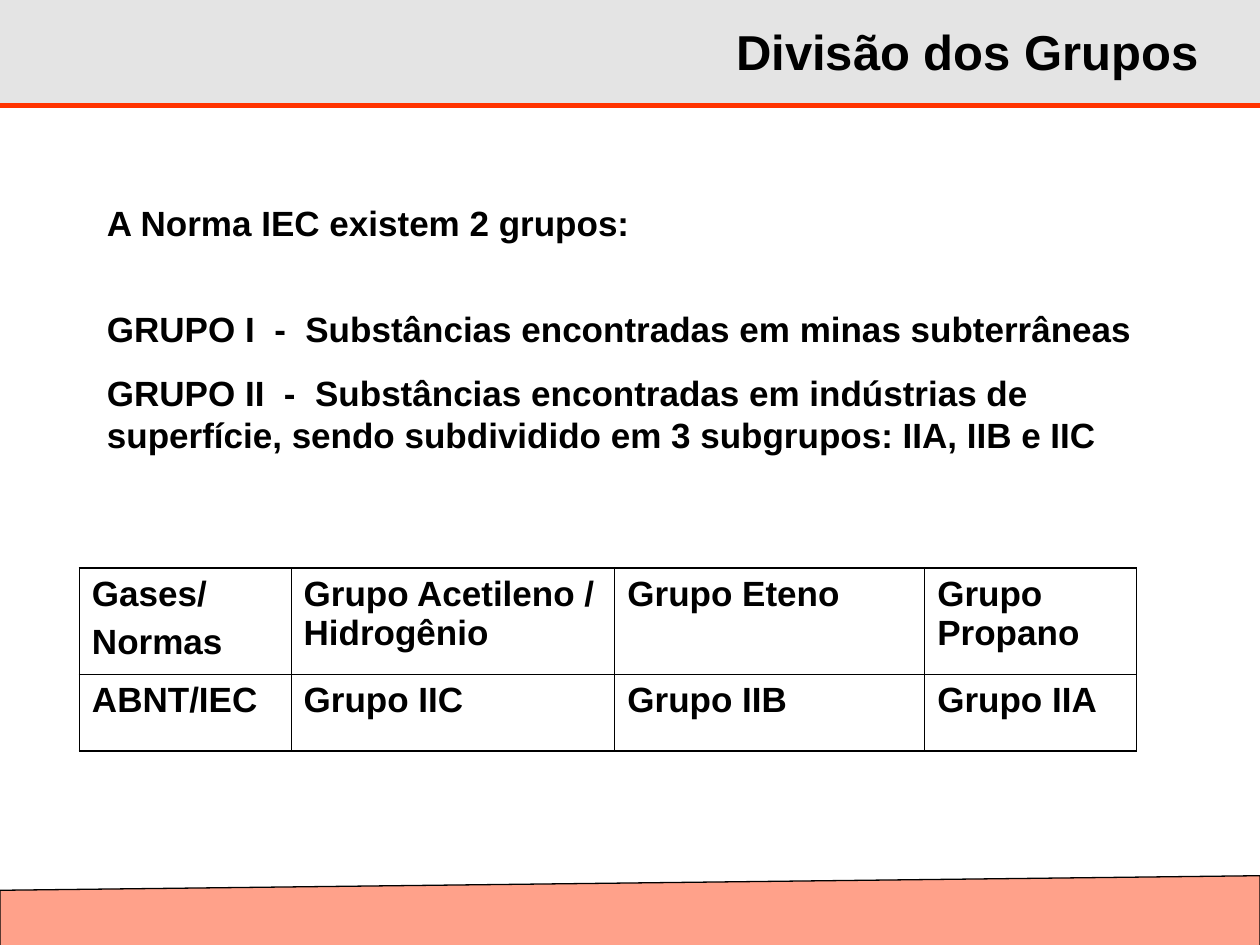
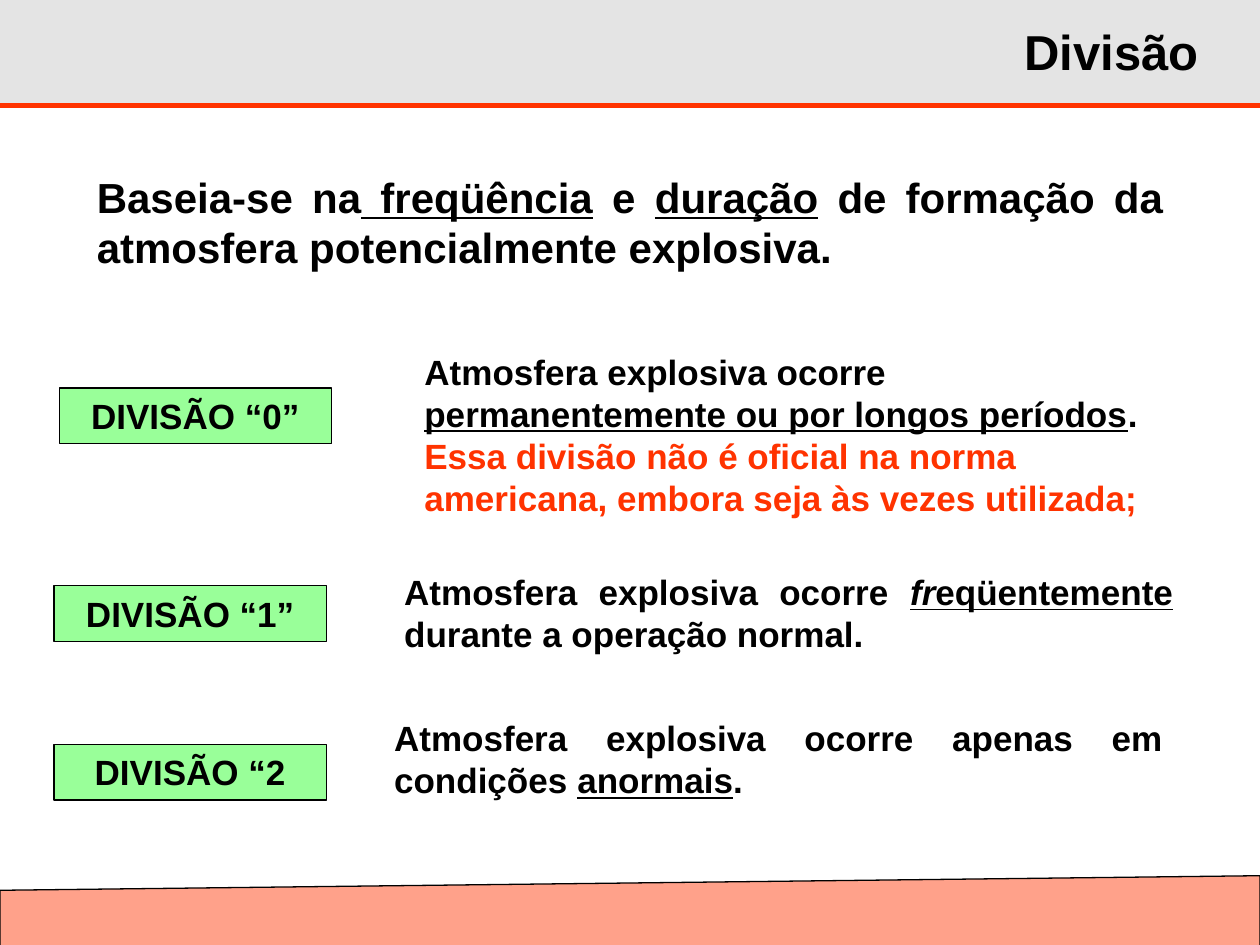
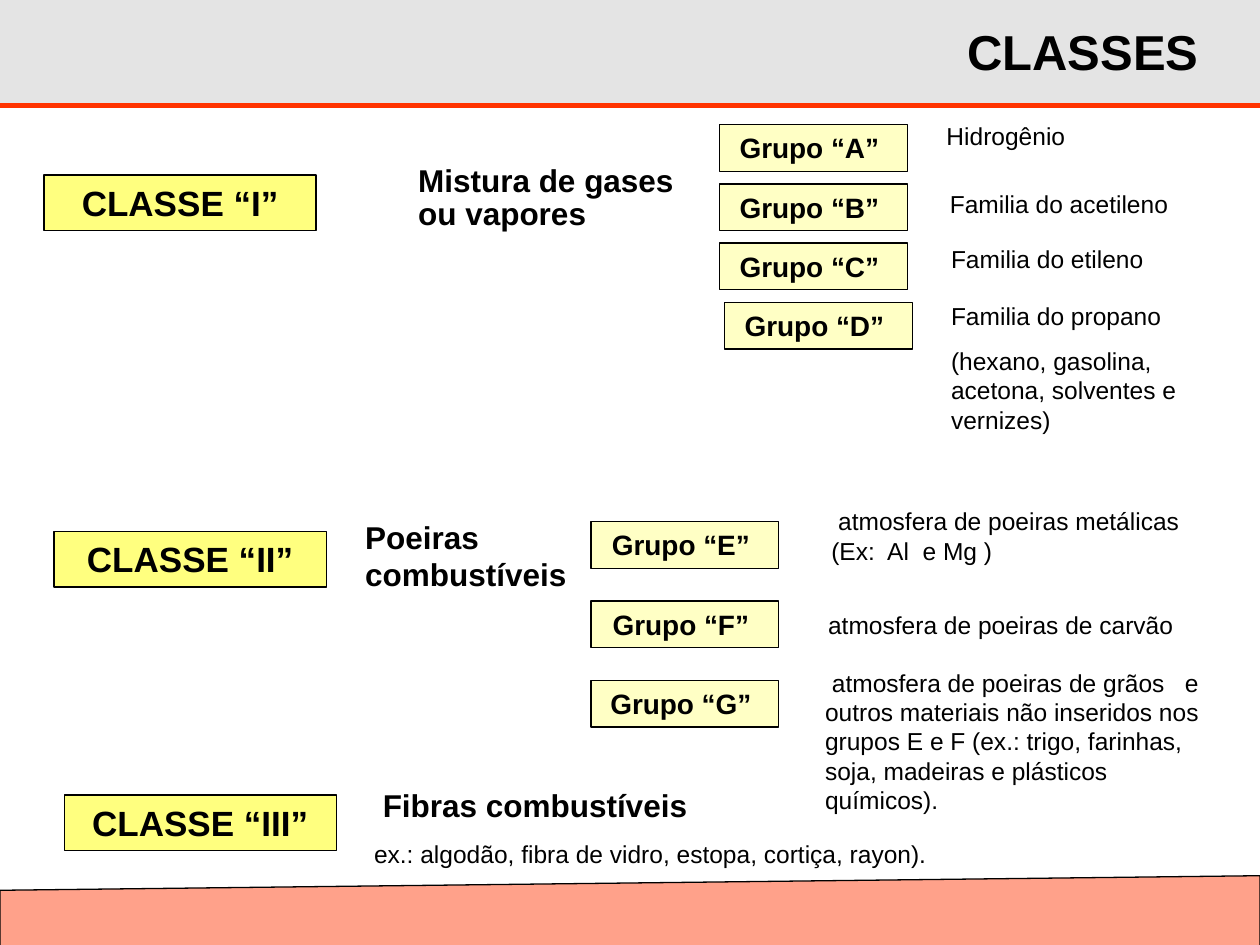
from lxml import etree
from pptx import Presentation
from pptx.dml.color import RGBColor
from pptx.enum import shapes, text
from pptx.oxml import ns
from pptx.util import Inches, Pt

FONT = "Arial"
BLACK, WHITE, RED, GRAY = "000000", "FFFFFF", "FF3300", "C0C0C0"
GREEN, YELLOW, CREAM = "00FF00", "FFFF00", "FFFF99"
LEFT, RIGHT = text.PP_ALIGN.LEFT, text.PP_ALIGN.RIGHT
MID, JUST = text.PP_ALIGN.CENTER, text.PP_ALIGN.JUSTIFY
RECT = shapes.MSO_SHAPE.RECTANGLE
SLANT = shapes.MSO_SHAPE.FLOWCHART_MANUAL_INPUT


def paint(color, value):
    color.rgb = RGBColor.from_string(value)


def write(frame, paras, size=20, bold=True, align=LEFT, gap=0.0):
    """Fill a frame; a paragraph is a string or a list of (text, marks).

    Marks: u underline, i italic, r red.
    """
    frame.word_wrap = True
    for n, para in enumerate(paras):
        line = frame.add_paragraph() if n else frame.paragraphs[0]
        line.alignment = align
        if n:
            line.space_before = Pt(gap)
        for words, marks in [(para, "")] if isinstance(para, str) else para:
            run = line.add_run()
            run.text = words
            font = run.font
            font.name, font.size, font.bold = FONT, Pt(size), bold
            font.underline = "u" in marks
            font.italic = "i" in marks
            paint(font.color, RED if "r" in marks else BLACK)
    return frame


def note(slide, x, y, w, h, *paras, **style):
    box = slide.shapes.add_textbox(Inches(x), Inches(y), Inches(w), Inches(h))
    return write(box.text_frame, paras, **style)


def block(slide, x, y, w, h, fill, alpha, edge=BLACK, weight=0.75, kind=RECT):
    """Add a shape whose fill is alpha percent opaque."""
    shape = slide.shapes.add_shape(kind, Inches(x), Inches(y), Inches(w), Inches(h))
    shape.shadow.inherit = False
    shape.fill.solid()
    paint(shape.fill.fore_color, fill)
    tint = shape.fill._xPr.find(".//" + ns.qn("a:srgbClr"))
    etree.SubElement(tint, ns.qn("a:alpha"), val=str(alpha * 1000))
    if edge:
        shape.line.width = Pt(weight)
        paint(shape.line.color, edge)
    else:
        shape.line.fill.background()
    shape.text_frame.vertical_anchor = text.MSO_ANCHOR.TOP
    return shape


def label(slide, x, y, words, fill):
    tag = block(slide, x, y, 2.16, 0.44, fill, 40 if fill == GREEN else 50)
    write(tag.text_frame, [words], align=MID)


def group(slide, x, y, name):
    tag = block(slide, x, y, 1.49, 0.37, CREAM, 57)
    write(tag.text_frame, [f"Grupo “{name}” "], size=16, align=MID)


def rule(slide, y):
    line = slide.shapes.add_connector(
        shapes.MSO_CONNECTOR.STRAIGHT, 0, Inches(y), Inches(10), Inches(y))
    line.line.width = Pt(3)
    paint(line.line.color, RED)
    etree.SubElement(line._element.spPr, ns.qn("a:effectLst"))


def start(deck, title):
    """Add a slide with the shared bands and its title."""
    slide = deck.slides.add_slide(deck.slide_layouts[6])
    block(slide, 0, 0, 10, 0.84, GRAY, 42, edge=None)
    rule(slide, 0.84)
    block(slide, 0, 6.95, 10, 0.58, RED, 46, kind=SLANT)
    head = note(slide, 1.14, 0.13, 8.47, 0.55, title, size=28, align=RIGHT)
    head.vertical_anchor = text.MSO_ANCHOR.MIDDLE
    return slide


def border(cell, widths):
    """Draw the left, right, top and bottom edges, in points."""
    props = cell._tc.get_or_add_tcPr()
    for n, (side, width) in enumerate(zip("LRTB", widths)):
        edge = etree.Element(ns.qn("a:ln" + side), w=str(Pt(width)))
        fill = etree.SubElement(edge, ns.qn("a:solidFill"))
        etree.SubElement(fill, ns.qn("a:srgbClr"), val=BLACK)
        props.insert(n, edge)


def grid(slide, x, y, cols, rows, cells):
    table = slide.shapes.add_table(
        len(rows), len(cols), Inches(x), Inches(y),
        Inches(sum(cols)), Inches(sum(rows))).table
    table.first_row = table.horz_banding = False
    for col, width in zip(table.columns, cols):
        col.width = Inches(width)
    for row, height in zip(table.rows, rows):
        row.height = Inches(height)
    for r, line in enumerate(cells):
        for c, paras in enumerate(line):
            cell = table.cell(r, c)
            write(cell.text_frame, paras, gap=5)
            cell.fill.background()
            outer = (c == 0, c == len(cols) - 1, r == 0, r == len(rows) - 1)
            border(cell, [1.08 if side else 0.45 for side in outer])


def groups(deck):
    slide = start(deck, "Divisão dos Grupos")
    grid(slide, 0.63, 4.51, [1.68, 2.57, 2.46, 1.68], [0.84, 0.61], [
        [["Gases/", "Normas"], ["Grupo Acetileno / Hidrogênio"],
         ["Grupo Eteno"], ["Grupo Propano"]],
        [["ABNT/IEC"], ["Grupo IIC"], ["Grupo IIB"], ["Grupo IIA"]],
    ])
    body = note(
        slide, 0.75, 1.55, 8.58, 2.45,
        "A Norma IEC existem 2 grupos:",
        "GRUPO I  -  Substâncias encontradas em minas subterrâneas",
        "GRUPO II  -  Substâncias encontradas em indústrias de superfície, "
        "sendo subdividido em 3 subgrupos: IIA, IIB e IIC", gap=12.5)
    body.paragraphs[1].space_before = Pt(36.5)


def divisions(deck):
    slide = start(deck, "Divisão")
    intro = block(slide, 0.67, 1.31, 8.66, 0.9, WHITE, 52, edge=WHITE, weight=3)
    write(intro.text_frame, [[
        ("Baseia-se na", ""), (" freqüência", "u"), (" e ", ""), ("duração", "u"),
        (" de formação da atmosfera potencialmente explosiva.", "")]],
        size=24, align=JUST)
    for x, y, words in [(0.47, 3.08, "DIVISÃO “0”"), (0.43, 4.65, "DIVISÃO “1”"),
                        (0.43, 5.91, "DIVISÃO “2")]:
        label(slide, x, y, words, GREEN)
    note(slide, 3.27, 2.73, 6.3, 1.44,
         [("Atmosfera explosiva ocorre ", ""),
          ("permanentemente ou por longos períodos", "u"), (".", "")],
         [("Essa divisão não é oficial na norma americana, "
           "embora seja às vezes utilizada;", "r")])
    note(slide, 3.11, 4.48, 6.3, 0.77,
         [("Atmosfera explosiva ocorre ", ""), ("fr", "ui"), ("eqüentemente", "u"),
          (" durante a operação normal.", "")], align=JUST)
    note(slide, 3.03, 5.64, 6.3, 0.77,
         [("Atmosfera explosiva ocorre apenas em condições ", ""),
          ("anormais", "u"), (".", "")], align=JUST)


def classes(deck):
    slide = start(deck, "CLASSES")
    for x, y, name in [(0.35, 1.39, "I"), (0.43, 4.22, "II"), (0.51, 6.31, "III")]:
        label(slide, x, y, f"CLASSE “{name}”", YELLOW)

    gases = note(slide, 3.22, 1.23, 2.25, 0.62, "Mistura de gases", "ou vapores",
                 size=18, align=JUST)
    gases.paragraphs[1].line_spacing = 0.87
    note(slide, 2.8, 4.06, 2.03, 0.7, "Poeiras combustíveis", size=18, align=JUST)
    fibres = note(slide, 2.87, 6.19, 5.99, 0.76, " Fibras combustíveis",
                  "ex.: algodão, fibra de vidro, estopa, cortiça, rayon).",
                  size=18, align=JUST, gap=8.8)
    sample = fibres.paragraphs[1].runs[0].font
    sample.size, sample.bold = Pt(14), False

    for n, name in enumerate("ABCD"):
        group(slide, 5.75 if name == "D" else 5.71, 0.99 + 0.47 * n, name)
    for n, name in enumerate("EFG"):
        group(slide, 4.69, 4.14 + 0.63 * n, name)

    for x, y, w, h, *paras in [
        (7.36, 0.91, 2.2, 0.34, " Hidrogênio"),
        (7.44, 1.45, 2.2, 0.34, "Familia do acetileno"),
        (7.45, 1.89, 2.2, 0.34, "Familia do etileno"),
        (7.45, 2.34, 2.2, 1.16, "Familia do propano",
         "(hexano, gasolina, acetona, solventes e vernizes)"),
        (6.5, 3.97, 3.23, 0.57, " atmosfera de poeiras metálicas (Ex:  Al  e Mg )"),
        (6.42, 4.79, 3.07, 0.34, " atmosfera de poeiras de carvão"),
        (6.45, 5.25, 3.2, 1.27,
         " atmosfera de poeiras de grãos   e outros materiais não inseridos nos "
         "grupos E e F (ex.: trigo, farinhas, soja, madeiras e plásticos químicos)."),
    ]:
        note(slide, x, y, w, h, *paras, size=14, bold=False, gap=8.8)


def main():
    deck = Presentation()
    deck.slide_width, deck.slide_height = Inches(10), Inches(7.5)
    groups(deck)
    divisions(deck)
    classes(deck)
    deck.save("out.pptx")


if __name__ == "__main__":
    main()
